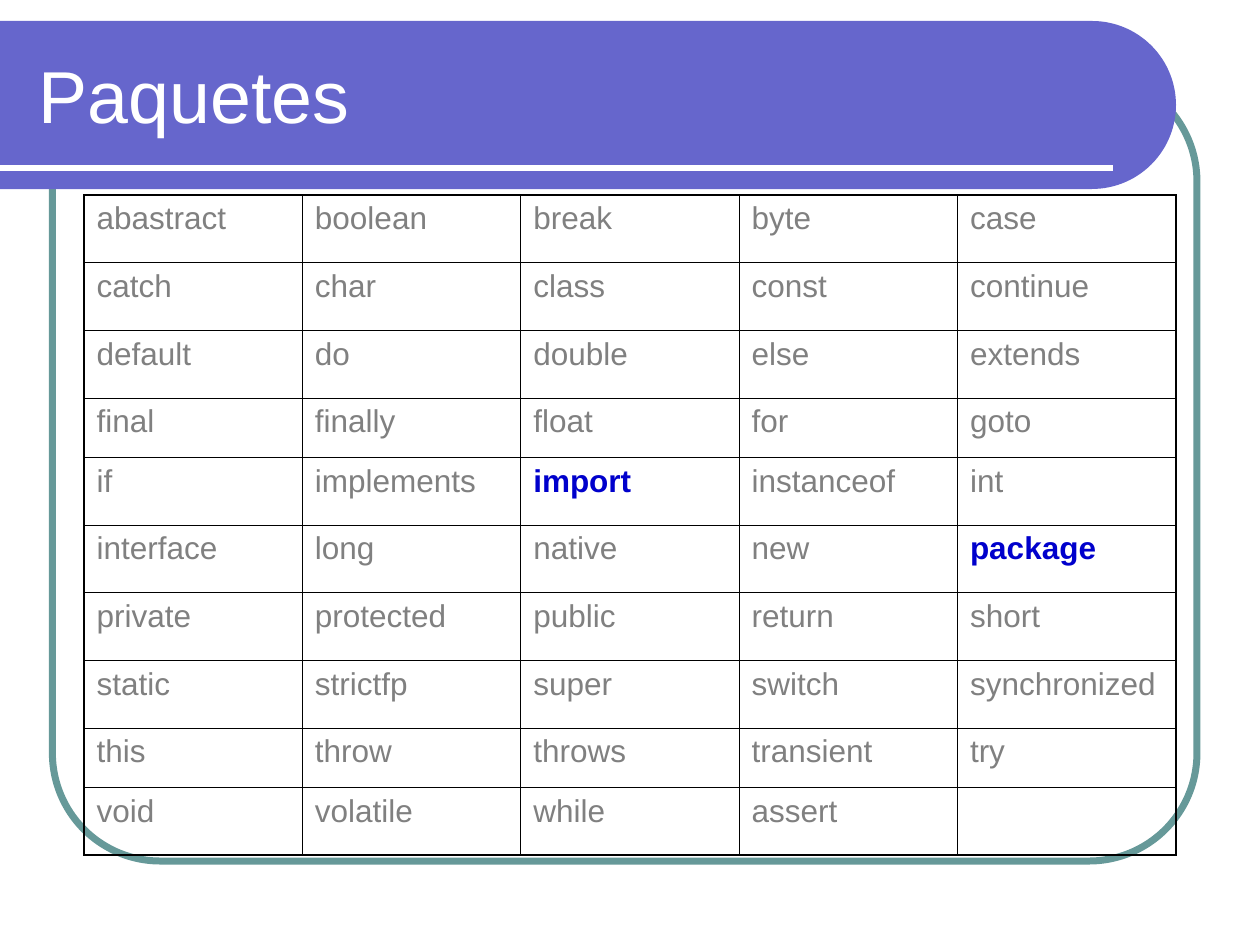
import math
from dataclasses import dataclass

from lxml import etree
from pptx import Presentation
from pptx.dml.color import RGBColor
from pptx.enum import shapes, text
from pptx.oxml.ns import qn
from pptx.util import Pt


@dataclass(frozen=True)
class Theme:
    font: str = "Arial"
    band: str = "6666CC"
    frame: str = "669999"
    white: str = "FFFFFF"
    grid: str = "000000"
    word: str = "808080"
    key: str = "0000CC"
    head: float = 42
    body: float = 18
    thin: float = 0.45
    thick: float = 1.08


WORDS = """
abastract boolean break byte case
catch char class const continue
default do double else extends
final finally float for goto
if implements import instanceof int
interface long native new package
private protected public return short
static strictfp super switch synchronized
this throw throws transient try
void volatile while assert
"""
KEYS = {"import", "package"}
LOW_ROWS = {3, 8}


class Deck:
    def __init__(self, theme):
        self.theme = theme
        self.prs = Presentation()
        self.prs.slide_width, self.prs.slide_height = Pt(720), Pt(540)
        self.slide = self.prs.slides.add_slide(self.prs.slide_layouts[5])

    def run(self, para, words, size, color, bold=False):
        run = para.add_run()
        run.text = words
        font = run.font
        font.name, font.size, font.bold = self.theme.font, Pt(size), bold
        font.color.rgb = RGBColor.from_string(color)

    def frame(self, x, y, w, h, round_by, width):
        box = self.slide.shapes.add_shape(
            shapes.MSO_SHAPE.ROUNDED_RECTANGLE, Pt(x), Pt(y), Pt(w), Pt(h))
        box.adjustments[0] = round_by
        box.shadow.inherit = False
        box.fill.background()
        box.line.color.rgb = RGBColor.from_string(self.theme.frame)
        box.line.width = Pt(width)

    def band(self, y, w, h, steps=60):
        """Draw a bar from the left edge that ends in a half circle."""
        r = h / 2
        turns = [math.pi * (i / steps - 0.5) for i in range(steps + 1)]
        arc = [(Pt(w - r + r * math.cos(t)), Pt(y + r + r * math.sin(t)))
               for t in turns]
        path = self.slide.shapes.build_freeform(0, Pt(y))
        path.add_line_segments(arc + [(0, Pt(y + h))], close=True)
        bar = path.convert_to_shape()
        bar.shadow.inherit = False
        bar.fill.solid()
        bar.fill.fore_color.rgb = RGBColor.from_string(self.theme.band)
        bar.line.fill.background()

    def rule(self, x, y, end, width):
        line = self.slide.shapes.add_connector(
            shapes.MSO_CONNECTOR.STRAIGHT, Pt(x), Pt(y), Pt(end), Pt(y))
        line.line.color.rgb = RGBColor.from_string(self.theme.white)
        line.line.width = Pt(width)
        etree.SubElement(line.element.spPr, qn("a:effectLst"))

    def title(self, words, x, y, w, h):
        """Fill the title and bring it in front of what is drawn so far."""
        head = self.slide.shapes.title
        self.slide.shapes.element.append(head.element)
        head.left, head.top, head.width, head.height = Pt(x), Pt(y), Pt(w), Pt(h)
        body = head.text_frame
        body.word_wrap = True
        body.auto_size = text.MSO_AUTO_SIZE.NONE
        body.vertical_anchor = text.MSO_ANCHOR.MIDDLE
        para = body.paragraphs[0]
        para.alignment = text.PP_ALIGN.LEFT
        self.run(para, words, self.theme.head, self.theme.white)

    def edge(self, cell, side, width):
        props = cell._tc.get_or_add_tcPr()
        line = etree.SubElement(props, qn(f"a:ln{side}"), w=str(Pt(width)))
        fill = etree.SubElement(line, qn("a:solidFill"))
        etree.SubElement(fill, qn("a:srgbClr"), val=self.theme.grid)

    def table(self, rows, x, y, w, heights):
        cols = max(map(len, rows))
        grid = self.slide.shapes.add_table(
            len(rows), cols, Pt(x), Pt(y), Pt(w), Pt(sum(heights))).table
        grid.first_row = grid.horz_banding = False
        for col in grid.columns:
            col.width = Pt(w / cols)
        for r, (row, high) in enumerate(zip(rows, heights)):
            grid.rows[r].height = Pt(high)
            for c in range(cols):
                cell = grid.cell(r, c)
                outer = {"L": c == 0, "R": c == cols - 1,
                         "T": r == 0, "B": r == len(rows) - 1}
                for side, is_outer in outer.items():
                    self.edge(cell, side,
                              self.theme.thick if is_outer else self.theme.thin)
                cell.fill.background()
                if c < len(row):
                    self.entry(cell, row[c])

    def entry(self, cell, word):
        para = cell.text_frame.paragraphs[0]
        para.space_before = Pt(4.5)
        key = word in KEYS
        color = self.theme.key if key else self.theme.word
        self.run(para, word, self.theme.body, color, key)


def main():
    deck = Deck(Theme())
    deck.frame(30, 42, 654, 450, 0.137, 4)
    deck.band(12, 672, 96)
    deck.rule(0, 96, 636, 3)
    deck.title("Paquetes", 15, 18, 631.5, 72)
    rows = [line.split() for line in WORDS.strip().splitlines()]
    heights = [34 if r in LOW_ROWS else 38.65 for r in range(len(rows))]
    deck.table(rows, 48, 111.5, 624, heights)
    deck.prs.save("out.pptx")


if __name__ == "__main__":
    main()
